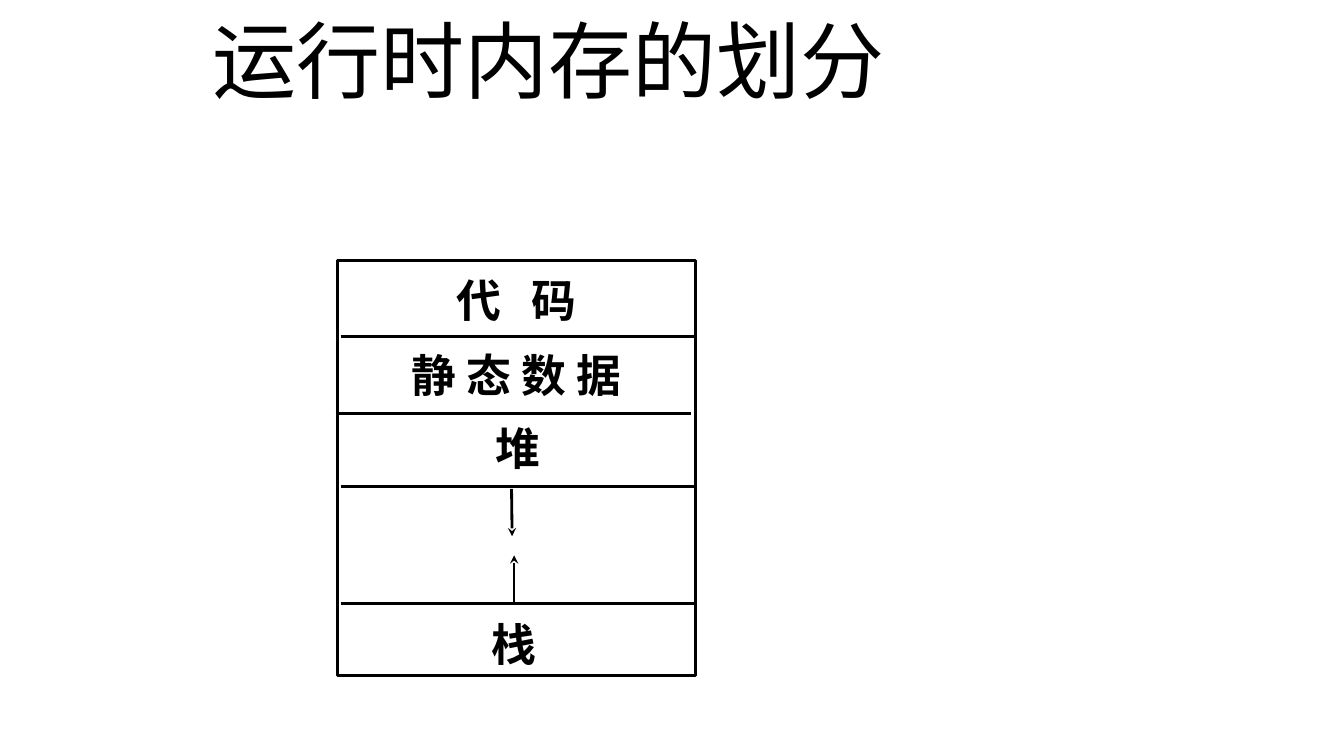
from lxml.etree import SubElement as Sub
from pptx import Presentation
from pptx.dml.color import RGBColor as Rgb
from pptx.enum.shapes import MSO_CONNECTOR as Link, MSO_SHAPE as Kind
from pptx.enum.text import MSO_ANCHOR as Anchor, MSO_AUTO_SIZE as Fit, PP_ALIGN as Align
from pptx.oxml.ns import qn
from pptx.util import Pt


def tint(code):
    return Rgb.from_string(code)


class Page:
    """Draws styled elements on one title-only slide."""

    ink = "000000"
    width = 2
    latin = "Times New Roman"
    asian = "Noto Sans CJK SC"

    def __init__(self, deck):
        self.slide = deck.slides.add_slide(deck.slide_layouts[5])
        self.shapes = self.slide.shapes

    def place(self, shape, left, top, wide, high):
        shape.left, shape.top = Pt(left), Pt(top)
        shape.width, shape.height = Pt(wide), Pt(high)

    def letter(self, frame, text, size, font, bold, anchor):
        frame.word_wrap = True
        frame.auto_size = Fit.NONE
        frame.vertical_anchor = anchor
        para = frame.paragraphs[0]
        para.alignment = Align.CENTER
        run = para.add_run()
        run.text = text
        run.font.size, run.font.bold, run.font.name = Pt(size), bold, font
        run.font.color.rgb = tint(self.ink)
        Sub(run.font._element, qn("a:ea"), typeface=self.asian)
        return para

    def title(self, text, *area):
        head = self.shapes.title
        self.place(head, *area)
        para = self.letter(head.text_frame, text, 60, self.asian, False, Anchor.MIDDLE)
        para.line_spacing = 0.9

    def label(self, text, *area):
        frame = self.shapes.add_textbox(*map(Pt, area)).text_frame
        frame.margin_top = Pt(6.5)
        self.letter(frame, text, 32, self.latin, True, Anchor.TOP)

    def stroke(self, line):
        line.color.rgb = tint(self.ink)
        line.width = Pt(self.width)

    def frame(self, *area):
        box = self.shapes.add_shape(Kind.RECTANGLE, *map(Pt, area))
        box.shadow.inherit = False
        box.fill.background()
        self.stroke(box.line)

    def line(self, *ends, arrow=False):
        link = self.shapes.add_connector(Link.STRAIGHT, *map(Pt, ends))
        self.stroke(link.line)
        if arrow:
            Sub(link.line._get_or_add_ln(), qn("a:tailEnd"), type="stealth")
        Sub(link._element.spPr, qn("a:effectLst"))


deck = Presentation()
deck.slide_width, deck.slide_height = Pt(960), Pt(540)
page = Page(deck)
page.title("运行时内存的划分", 60.5, 11.5, 663, 70.5)
page.frame(241.2, 185.8, 255.6, 296.6)

for text, left, top in (
    ("代   码", 247, 188),
    ("静 态 数 据", 247, 242),
    ("堆", 248.4, 293.8),
    ("栈", 245.5, 434.2),
):
    page.label(text, left, top, 243.4, 46.8)

for left, right, level in (
    (243.4, 495.4, 240.5),
    (239.8, 493.9, 295.2),
    (243.4, 497.5, 347.8),
    (243.4, 497.5, 431.3),
):
    page.line(left, level, right, level)

page.line(365.4, 349.2, 365.8, 383, arrow=True)
page.line(367.2, 429.8, 367.2, 396.7, arrow=True)
deck.save("out.pptx")
